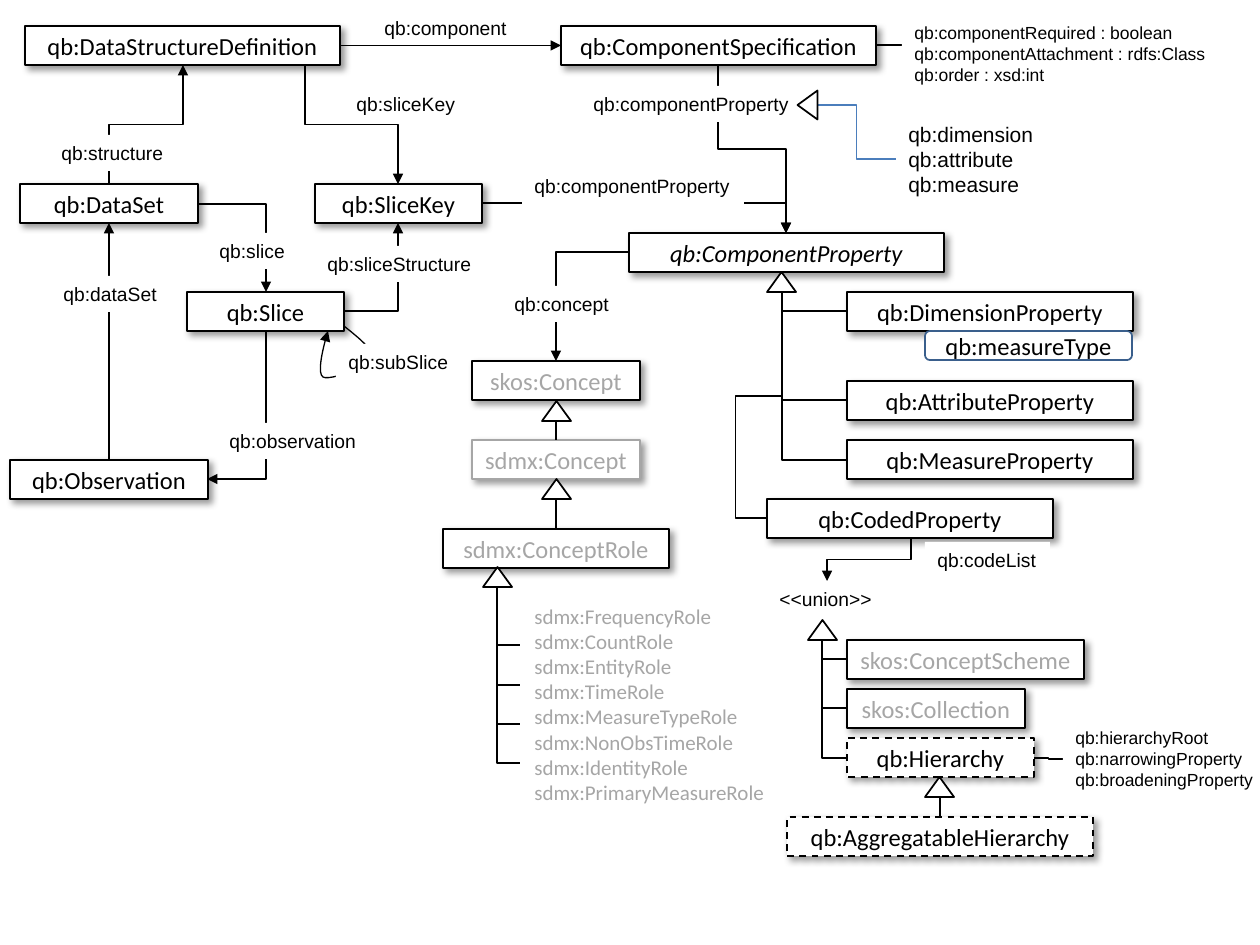
from lxml import etree
from pptx import Presentation
from pptx.dml.color import RGBColor
from pptx.enum.dml import MSO_LINE
from pptx.enum.shapes import MSO_CONNECTOR, MSO_SHAPE
from pptx.enum.text import MSO_ANCHOR, MSO_AUTO_SIZE, PP_ALIGN
from pptx.oxml.ns import qn
from pptx.util import Emu, Pt

PX = 914400 / 126
RECT, ROUND, TRIANGLE = MSO_SHAPE.RECTANGLE, MSO_SHAPE.ROUNDED_RECTANGLE, MSO_SHAPE.ISOSCELES_TRIANGLE
STRAIGHT, ELBOW = MSO_CONNECTOR.STRAIGHT, MSO_CONNECTOR.ELBOW
DASH, MIDDLE, CENTER = MSO_LINE.DASH, MSO_ANCHOR.MIDDLE, PP_ALIGN.CENTER
NO_FIT, FIT = MSO_AUTO_SIZE.NONE, MSO_AUTO_SIZE.SHAPE_TO_FIT_TEXT
BLACK, WHITE, GREY, BLUE, NAVY = "000000", "FFFFFF", "A6A6A6", "4B7EBC", "3A5F8C"
BOX_H, TRI_W, TRI_H = 39, 29, 20
BENT2, BENT3, BENT4 = "bentConnector2", "bentConnector3", "bentConnector4"


def emu(*lengths):
    return [Emu(round(n * PX)) for n in lengths]


def rgb(color):
    return RGBColor.from_string(color)


class Diagram:
    """Draws the elements of a class diagram on one slide."""

    def __init__(self, slide):
        self.shapes = slide.shapes

    def stroke(self, sp, color=BLACK, width=1, arrow=False):
        sp.line.color.rgb = rgb(color)
        sp.line.width = Pt(width)
        if arrow:
            etree.SubElement(sp._element.spPr.find(qn("a:ln")), qn("a:tailEnd"), type="triangle")

    def set_text(self, tf, text, size, font, color, align=None, italic=None):
        tf.text = text
        style = {"size": Pt(size), "name": font, "italic": italic}
        for p in tf.paragraphs:
            p.alignment = align
            for r in p.runs:
                r.font.color.rgb = rgb(color)
                for key, value in style.items():
                    setattr(r.font, key, value)

    def outline(self, kind, x, y, w, h, line=BLACK):
        sp = self.shapes.add_shape(kind, *emu(x, y, w, h))
        sp.shadow.inherit = False
        sp.fill.solid()
        sp.fill.fore_color.rgb = rgb(WHITE)
        self.stroke(sp, line)
        return sp

    def box(self, text, x, y, w, color=BLACK, line=BLACK, dash=None, italic=None,
            kind=RECT, h=BOX_H, shadow=True):
        sp = self.outline(kind, x, y, w, h, line)
        sp.line.dash_style = dash
        if shadow:
            effects = sp._element.spPr.find(qn("a:effectLst"))
            outer = etree.SubElement(effects, qn("a:outerShdw"), blurRad=str(Pt(4)), dist=str(Pt(3)),
                                     dir="2700000", algn="tl", rotWithShape="0")
            tint = etree.SubElement(outer, qn("a:srgbClr"), val=BLACK)
            etree.SubElement(tint, qn("a:alpha"), val="40000")
        tf = sp.text_frame
        for key, value in {"word_wrap": True, "auto_size": NO_FIT, "vertical_anchor": MIDDLE}.items():
            setattr(tf, key, value)
        self.set_text(tf, text, 14, "Calibri", color, CENTER, italic)
        return sp

    def label(self, text, x, y, w, h=36, size=11, font="Arial", color=BLACK, fill=WHITE):
        sp = self.shapes.add_textbox(*emu(x, y, w, h))
        if fill:
            sp.fill.solid()
            sp.fill.fore_color.rgb = rgb(fill)
        tf = sp.text_frame
        tf.word_wrap = False
        tf.auto_size = FIT
        self.set_text(tf, text, size, font, color)

    def triangle(self, x, y, rotation=0):
        self.outline(TRIANGLE, x, y, TRI_W, TRI_H).rotation = rotation

    def connector(self, kind, points, color=BLACK, arrow=False):
        c = self.shapes.add_connector(kind, *emu(*points))
        self.stroke(c, color, 0.75, arrow)
        etree.SubElement(c._element.spPr, qn("a:effectLst"))
        return c

    def straight(self, x1, y1, x2, y2, begin, end=None, arrow=False):
        c = self.connector(STRAIGHT, (x1, y1, x2, y2), arrow=arrow)
        c.begin_connect(*begin)
        if end:
            c.end_connect(*end)

    def bent(self, x1, y1, x2, y2, kind=BENT2, upright=False, arrow=False, color=BLACK, adjust=()):
        dx, dy = x2 - x1, y2 - y1
        if upright:
            cx, cy = (x1 + x2) / 2, (y1 + y2) / 2
            x1, y1, x2, y2 = cx - dy / 2, cy + dx / 2, cx + dy / 2, cy - dx / 2
        c = self.connector(ELBOW, (x1, y1, x2, y2), color, arrow)
        spPr = c._element.spPr
        if upright:
            spPr.find(qn("a:xfrm")).set("rot", "5400000")
        geom = spPr.find(qn("a:prstGeom"))
        geom.set("prst", kind)
        for n, value in enumerate(adjust, 1):
            etree.SubElement(geom.find(qn("a:avLst")), qn("a:gd"), name=f"adj{n}",
                             fmla=f"val {round(value * 100000)}")

    def branches(self, trunk, top, child_x, child_ys):
        for y in child_ys:
            self.bent(child_x, y, trunk, top)

    def curve(self, start, segments, steps=12):
        points, p0 = [], start
        for p1, p2, p3 in segments:
            for t in (n / steps for n in range(1, steps + 1)):
                u = 1 - t
                points.append(emu(*(u**3 * a + 3 * u * u * t * b + 3 * u * t * t * c + t**3 * d
                                    for a, b, c, d in zip(p0, p1, p2, p3))))
            p0 = p3
        builder = self.shapes.build_freeform(*emu(*start))
        builder.add_line_segments(points, close=False)
        sp = builder.convert_to_shape()
        sp.shadow.inherit = False
        sp.fill.background()
        self.stroke(sp, BLACK, 0.75, arrow=True)


def main():
    prs = Presentation()
    prs.slide_width, prs.slide_height = emu(1260, 945)
    d = Diagram(prs.slides.add_slide(prs.slide_layouts[6]))

    structure = d.box("qb:DataStructureDefinition", 25, 26, 315)
    component = d.box("qb:ComponentSpecification", 561, 26, 315)
    dataset = d.box("qb:DataSet", 20, 184, 178)
    observation = d.box("qb:Observation", 10, 460, 198)
    sdmx_concept = d.box("sdmx:Concept", 472, 440, 168, GREY, GREY)
    role = d.box("sdmx:ConceptRole", 443, 529, 226, GREY)
    aggregatable = d.box("qb:AggregatableHierarchy", 787, 817, 306, dash=DASH)
    for text, x, y, w, color in [
        ("qb:SliceKey", 315, 184, 167, BLACK), ("qb:Slice", 187, 292, 157, BLACK),
        ("qb:DimensionProperty", 847, 292, 286, BLACK), ("qb:AttributeProperty", 847, 381, 286, BLACK),
        ("qb:MeasureProperty", 847, 440, 286, BLACK), ("qb:CodedProperty", 767, 499, 286, BLACK),
        ("skos:Concept", 472, 361, 168, GREY), ("skos:ConceptScheme", 847, 640, 237, GREY),
        ("skos:Collection", 847, 689, 178, GREY),
    ]:
        d.box(text, x, y, w, color)
    d.box("qb:ComponentProperty", 629, 233, 315, italic=True)
    d.box("qb:Hierarchy", 847, 738, 187, dash=DASH)
    d.box("qb:measureType", 925, 331, 207, line=NAVY, kind=ROUND, h=29, shadow=False)

    d.label("qb:component", 372, 10, 149)
    d.straight(340, 45, 561, 45, (structure, 3), (component, 1), arrow=True)
    d.straight(109, 460, 109, 223, (observation, 0), (dataset, 2), arrow=True)
    d.straight(556, 440, 556, 421, (sdmx_concept, 0))
    d.straight(556, 529, 556, 499, (role, 0))
    d.straight(940, 817, 940, 797, (aggregatable, 0))
    for ends in [(198, 204, 266, 292), (344, 311, 398, 223), (629, 252, 556, 361), (482, 203, 786, 233)]:
        d.bent(*ends, arrow=True)
    for ends in [(718, 65, 786, 233), (911, 538, 827, 581), (109, 184, 183, 65), (305, 65, 398, 184)]:
        d.bent(*ends, kind=BENT3, upright=True, arrow=True)
    d.bent(266, 331, 207, 479, upright=True, arrow=True)
    d.bent(876, 45, 1152, 65, BENT3, arrow=True)
    d.bent(1034, 758, 1063, 759, BENT3)
    d.bent(817, 105, 896, 159, BENT3, color=BLUE)
    d.bent(767, 518, 782, 292, BENT4, adjust=(-2.1, 0.54))
    d.branches(782, 292, 847, (311, 400, 460))
    d.branches(497, 587, 520, (645, 685, 724, 763))
    d.branches(822, 640, 847, (659, 708, 758))
    d.curve((344, 326), [((359, 338), (374, 350), (372, 358)),
                         ((368, 367), (330, 381), (323, 377)),
                         ((315, 372), (328, 331), (328, 331))])

    for text, x, y, w in [
        ("qb:sliceKey", 344, 86, 125), ("qb:componentProperty", 581, 86, 222),
        ("qb:structure", 49, 135, 127), ("qb:componentProperty", 522, 168, 222),
        ("qb:slice", 207, 233, 92), ("qb:sliceStructure", 315, 246, 170),
        ("qb:dataSet", 51, 276, 120), ("qb:concept", 502, 286, 121),
        ("qb:subSlice", 336, 344, 126), ("qb:observation", 217, 423, 152),
        ("qb:codeList", 925, 542, 125), ("<<union>>", 767, 581, 118),
    ]:
        d.label(text, x, y, w)
    d.label("qb:componentRequired : boolean\nqb:componentAttachment : rdfs:Class\nqb:order : xsd:int",
            902, 16, 319, 77, size=10)
    d.label("qb:hierarchyRoot\nqb:narrowingProperty\nqb:broadeningProperty", 1063, 721, 204, 77, size=10)
    d.label("qb:dimension\nqb:attribute\nqb:measure", 896, 115, 151, 89, size=12, fill=None)
    roles = ("Frequency", "Count", "Entity", "Time", "MeasureType", "NonObsTime", "Identity", "PrimaryMeasure")
    d.label("\n".join(f"sdmx:{name}Role" for name in roles), 522, 597, 257, 217,
            size=12, font="Calibri", color=GREY, fill=None)

    for x, y in [(767, 272), (542, 401), (542, 479), (483, 567), (808, 620), (925, 777)]:
        d.triangle(x, y)
    d.triangle(793, 95, rotation=270)
    prs.save("out.pptx")


if __name__ == "__main__":
    main()
